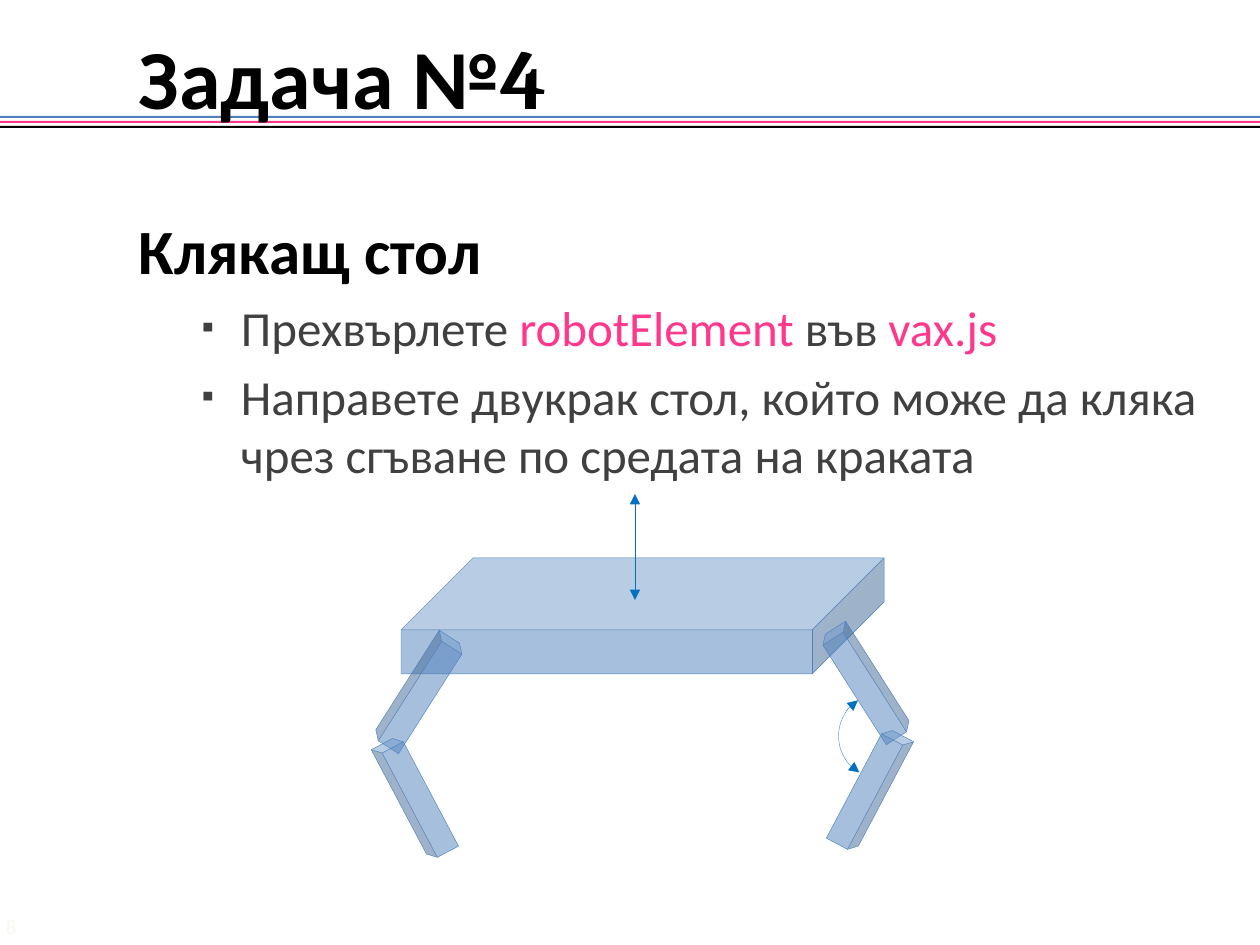
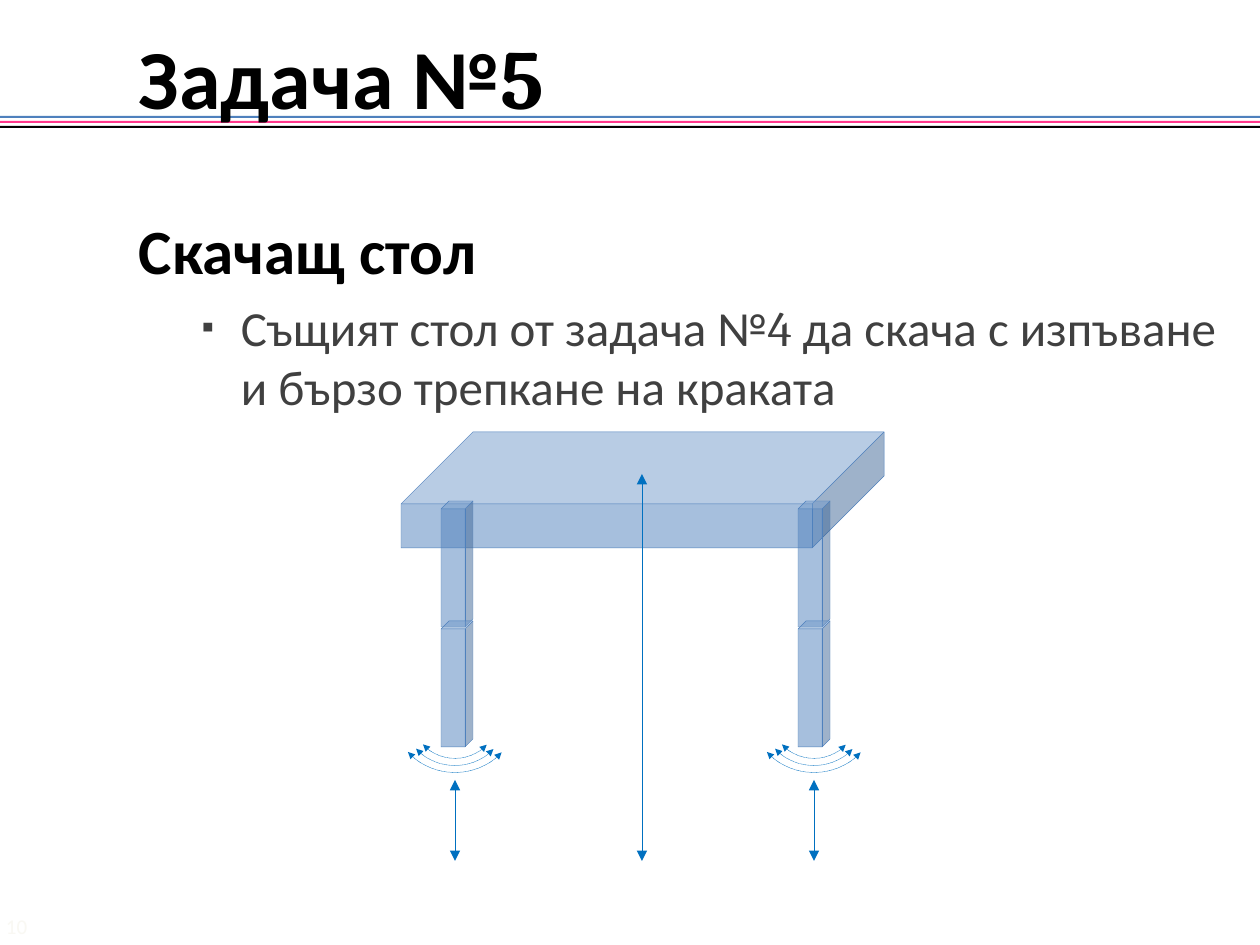
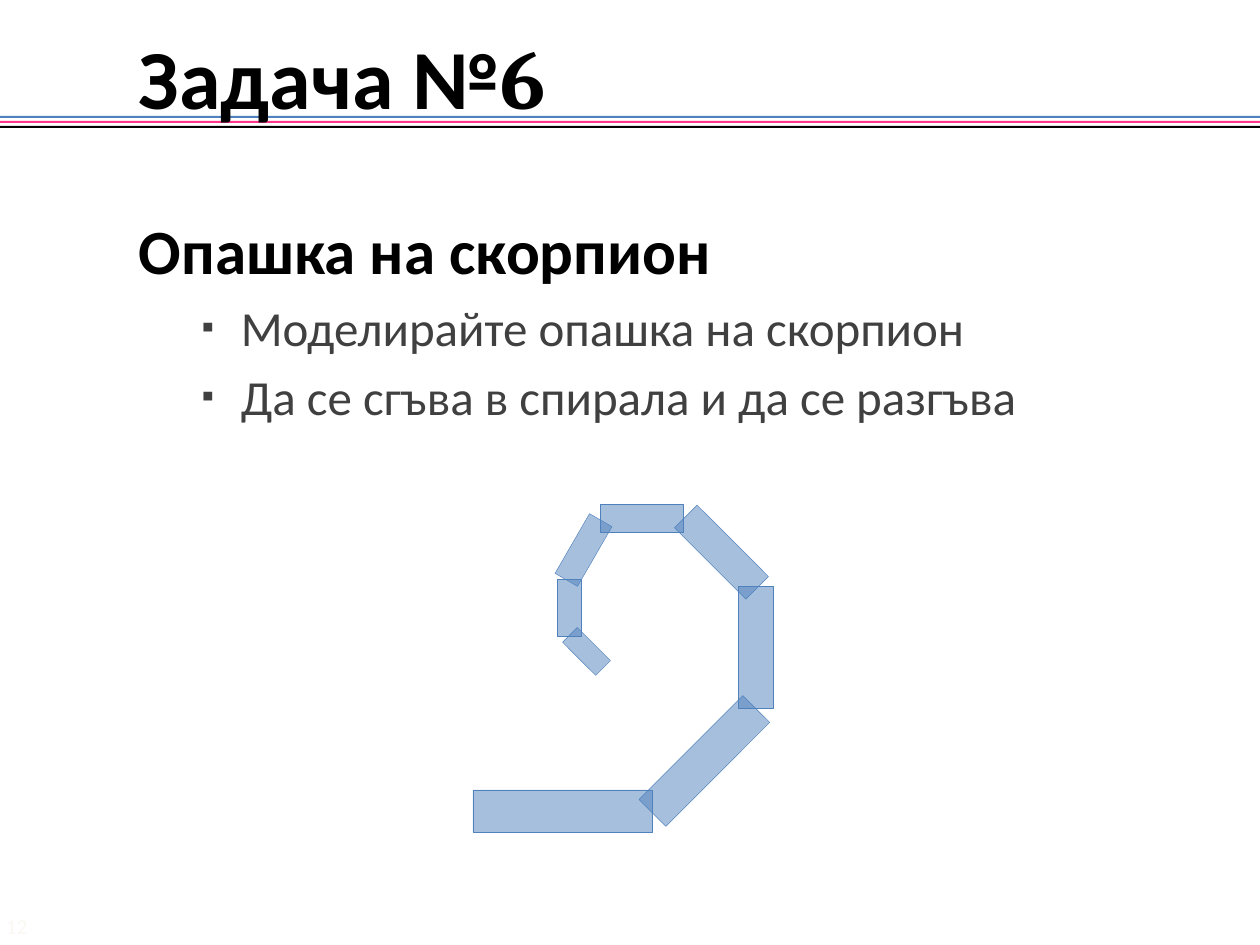
from pptx import Presentation
from pptx.dml.color import RGBColor
from pptx.enum.dml import MSO_LINE
from pptx.enum.shapes import MSO_CONNECTOR, MSO_SHAPE
from pptx.enum.text import MSO_ANCHOR, PP_ALIGN
from pptx.oxml.ns import qn
from pptx.util import Emu, Pt
from lxml import etree

BLUE, PINK, BLACK, GRAY, ARROW, PALE = (
    "4F81BD", "FF388C", "000000", "404040", "0070C0", "F9F8F3")
SANS, SERIF = "Calibri", "Cambria"
CUBE, RECT, ARC = MSO_SHAPE.CUBE, MSO_SHAPE.RECTANGLE, MSO_SHAPE.ARC
STRAIGHT, DOT = MSO_CONNECTOR.STRAIGHT, MSO_LINE.ROUND_DOT
MIDDLE, TOP = MSO_ANCHOR.MIDDLE, MSO_ANCHOR.TOP
LEFT = PP_ALIGN.LEFT

BANDS = [(116, BLUE), (121, PINK), (126, BLACK)]

TASKS = [
    {"task": "4", "page": "8", "head": "Клякащ стол", "items": [
        [("Прехвърлете ", GRAY, SANS), ("robotElement", PINK, SANS),
         (" във ", GRAY, SANS), ("vax.js", PINK, SANS)],
        [("Направете двукрак стол, който може да кляка "
          "чрез сгъване по средата на краката", GRAY, SANS)]]},
    {"task": "5", "page": "10", "head": "Скачащ стол", "items": [
        [("Същият стол от задача №", GRAY, SANS), ("4", GRAY, SERIF),
         (" да скача с изпъване и бързо трепкане на краката", GRAY, SANS)]]},
    {"task": "6", "page": "12", "head": "Опашка на скорпион", "items": [
        [("Моделирайте опашка на скорпион", GRAY, SANS)],
        [("Да се сгъва в спирала и да се разгъва", GRAY, SANS)]]},
]

BENT = [(850, 620, 327.5, False), (854, 727, 27.9, False),
        (403, 629, 32.5, True), (399, 735, 332.1, True)]
FEET, JOINTS = (814, 455), (501, 621)
SWINGS = [(83, 77, 720), (101, 93, 719), (122, 113, 716)]
TAIL = [(473, 790, 179, 42, 0), (631, 742, 147, 38, 315),
        (695, 630, 122, 35, 270), (671, 536, 101, 32, 225),
        (600, 504, 83, 28, 180), (549, 537, 69, 26, 120),
        (541, 596, 57, 24, 90), (563, 641, 47, 21, 45)]


def px(n):
    return Emu(round(n * 914400 / 126))


def rgb(code):
    return RGBColor.from_string(code)


def node(parent, tag, **attrs):
    return etree.SubElement(parent, qn(tag), attrs)


def write(par, text, size, color, font=SANS, bold=False):
    run = par.add_run()
    run.text = text
    run.font.size = Pt(size)
    run.font.name = font
    run.font.bold = bold
    run.font.color.rgb = rgb(color)


def frame(slide, x, y, w, h, anchor=TOP, side=13):
    box = slide.shapes.add_textbox(px(x), px(y), px(w), px(h)).text_frame
    box.word_wrap = True
    box.vertical_anchor = anchor
    box.margin_left = box.margin_right = px(side)
    return box


def solid(slide, kind, x, y, w, h, color=BLUE):
    shape = slide.shapes.add_shape(kind, px(x), px(y), px(w), px(h))
    shape.shadow.inherit = False
    shape.fill.solid()
    shape.fill.fore_color.rgb = rgb(color)
    shape.line.fill.background()
    return shape


def glass(slide, kind, x, y, w, h, turn=0, flip=False):
    shape = solid(slide, kind, x, y, w, h)
    tint = shape._element.spPr.find(qn("a:solidFill"))
    node(tint[0], "a:alpha", val="50000")
    shape.line.color.rgb = rgb(BLUE)
    shape.line.width = Pt(0.25)
    shape.rotation = turn
    if flip:
        shape._element.spPr.xfrm.set("flipH", "1")
    return shape


def leg(slide, x, y, turn=0, flip=False):
    glass(slide, CUBE, x, y, 32, 126, turn, flip)


def top(slide, y):
    glass(slide, CUBE, 401, y, 483, 116).adjustments[0] = 0.62


def tips(shape, size="med"):
    line = shape.line
    line.color.rgb = rgb(ARROW)
    line.width = Pt(0.25)
    line.dash_style = DOT
    ln = line._get_or_add_ln()
    for end in ("a:headEnd", "a:tailEnd"):
        node(ln, end, type="triangle", w=size, len=size)


def arrow(slide, x, low, high):
    line = slide.shapes.add_connector(STRAIGHT, px(x), px(low), px(x), px(high))
    tips(line)
    node(line._element.spPr, "a:effectLst")


def arc(slide, mid, y, w, h, start, stop, size="med"):
    shape = solid(slide, ARC, mid - w / 2, y - h / 2, w, h)
    shape.fill.background()
    for i, angle in enumerate((start, stop)):
        shape.adjustments[i] = angle * 0.6
    tips(shape, size)


def base(slide, task):
    for y, color in BANDS:
        solid(slide, RECT, -10, y, 1281, 2, color)
    par = frame(slide, 0, 31, 1260, 89, MIDDLE, 0).paragraphs[0]
    par.alignment = LEFT
    par._p.get_or_add_pPr().set("marL", str(px(139)))
    write(par, "Задача №", 48, BLACK, bold=True)
    write(par, task["task"], 48, BLACK, SERIF, True)
    par = frame(slide, 0, 908, 126, 37, MIDDLE, 6).paragraphs[0]
    write(par, task["page"], 12, PALE)


def body(slide, task):
    box = frame(slide, 126, 168, 1124, 766)
    par = box.paragraphs[0]
    par.line_spacing = 1.5
    par.space_before = Pt(7.2)
    write(par, task["head"], 36, BLACK, bold=True)
    for item in task["items"]:
        par = box.add_paragraph()
        par.space_before = Pt(5.6)
        props = par._p.get_or_add_pPr()
        props.set("marL", str(px(102)))
        props.set("indent", str(px(-39)))
        node(node(props, "a:buClr"), "a:srgbClr", val=GRAY)
        node(props, "a:buSzPct", val="70000")
        node(props, "a:buFont", typeface=SANS)
        node(props, "a:buChar", char="▪")
        for text, color, font in item:
            write(par, text, 28, color, font)


def squat(slide):
    top(slide, 558)
    for part in BENT:
        leg(slide, *part)
    arrow(slide, 635, 494, 600)
    arc(slide, 880, 736, 83, 84, 119.4, 238.3)


def jump(slide):
    top(slide, 432)
    arrow(slide, 642, 861, 474)
    for foot, x in zip(FEET, (798, 441)):
        for y in JOINTS:
            leg(slide, x, y)
        for w, h, y in SWINGS:
            arc(slide, foot, y, w, h, 38, 142.6, "sm")
        arrow(slide, foot, 861, 780)


def curl(slide):
    for part in TAIL:
        glass(slide, RECT, *part)


def main():
    deck = Presentation()
    deck.slide_width, deck.slide_height = px(1260), px(945)
    for task, draw in zip(TASKS, (squat, jump, curl)):
        slide = deck.slides.add_slide(deck.slide_layouts[6])
        base(slide, task)
        body(slide, task)
        draw(slide)
    deck.save("out.pptx")


if __name__ == "__main__":
    main()
